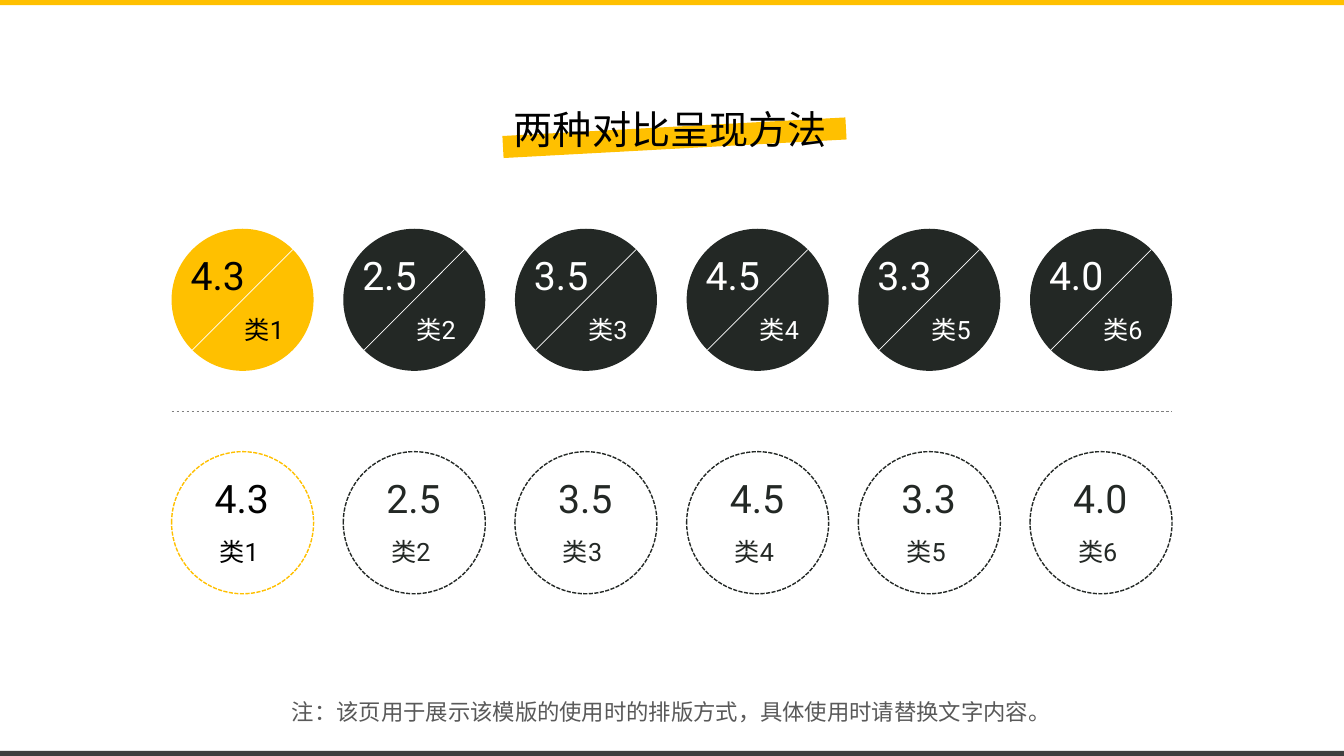
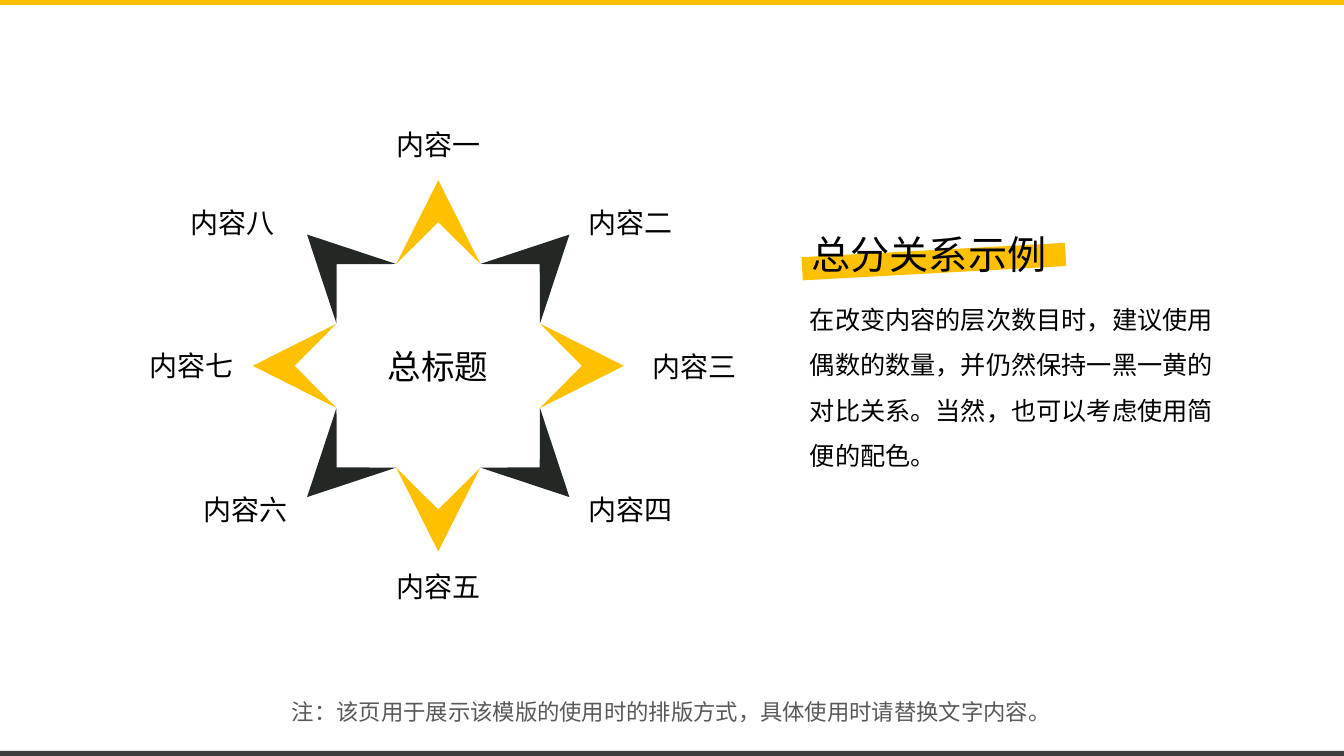
from math import cos, pi, sin

from lxml.etree import SubElement
from pptx import Presentation
from pptx.dml.color import RGBColor
from pptx.enum.dml import MSO_LINE
from pptx.enum.shapes import MSO_CONNECTOR, MSO_SHAPE
from pptx.enum.text import MSO_ANCHOR, MSO_AUTO_SIZE, PP_ALIGN
from pptx.oxml.ns import qn
from pptx.util import Pt

# Shared look
FONT = "Roboto"
YELLOW, DARK, BLACK, WHITE = "FFC000", "232825", "000000", "FFFFFF"
BAND_GREY, NOTE_GREY, RULE_GREY = "3F3F3F", "595959", "7F7F7F"
SLIDE_W, SLIDE_H = 960.48, 540
BAND_H = 3.6
NOTE = "注：该页用于展示该模版的使用时的排版方式，具体使用时请替换文字内容。"

# Comparison circles
VALUES = ["4.3", "2.5", "3.5", "4.5", "3.3", "4.0"]
ROW_LEFT, PITCH, DIAMETER = 122.6, 122.7, 101.5
FILLED_TOP, RULE_Y, OUTLINED_TOP = 163.4, 293.5, 322.6
VALUE_W, VALUE_H, VALUE_DROP = 54, 41, 12.6
LABEL_W, LABEL_H, LABEL_DROP = 47, 28.8, 57.3

# Eight-pointed star
STAR_X, STAR_Y = 313.2, 261.3
TIP_R, NOTCH_R, FOOT_R = 132.6, 102.6, 78.7
BRANCH_W, BRANCH_H = 76, 31.7
BRANCHES = [
    ("内容一", 276, 87.5), ("内容二", 413.3, 143.5),
    ("内容三", 459.4, 245.8), ("内容四", 413.3, 348),
    ("内容五", 276, 403.4), ("内容六", 138.2, 348),
    ("内容七", 99.7, 245.5), ("内容八", 128.9, 143.5),
]


def rgb(value):
    return RGBColor.from_string(value)


def points(*lengths):
    return [Pt(length) for length in lengths]


def write(shape, text, size, color, align=PP_ALIGN.LEFT, wrap=False, spacing=1.0):
    frame = shape.text_frame
    frame.word_wrap = wrap
    frame.auto_size = MSO_AUTO_SIZE.SHAPE_TO_FIT_TEXT
    frame.vertical_anchor = MSO_ANCHOR.TOP
    frame.margin_left = frame.margin_right = Pt(7.2)
    frame.margin_top = frame.margin_bottom = Pt(3.6)
    paragraph = frame.paragraphs[0]
    paragraph.alignment = align
    paragraph.line_spacing = spacing
    run = paragraph.add_run()
    run.text = text
    run.font.name = FONT
    run.font.size = Pt(size)
    run.font.color.rgb = rgb(color)
    # East Asian characters need their own font entry
    SubElement(run._r.get_or_add_rPr(), qn("a:ea"), typeface=FONT)


def add_text(slide, box, text, size, color=BLACK, **style):
    write(slide.shapes.add_textbox(*points(*box)), text, size, color, **style)


def paint(shape, fill):
    shape.shadow.inherit = False
    shape.fill.solid()
    shape.fill.fore_color.rgb = rgb(fill)
    shape.line.fill.background()


def add_bar(slide, box, fill):
    bar = slide.shapes.add_shape(MSO_SHAPE.RECTANGLE, *points(*box))
    paint(bar, fill)
    return bar


def add_line(slide, start, end, color, dash=None):
    line = slide.shapes.add_connector(MSO_CONNECTOR.STRAIGHT, *points(*start, *end))
    line.line.color.rgb = rgb(color)
    line.line.width = Pt(0.5)
    if dash:
        line.line.dash_style = dash
    SubElement(line.element.spPr, qn("a:effectLst"))


def start_slide(deck, title_text, title_box, highlight_box):
    """Add a slide with its bands, note and highlighted title."""
    slide = deck.slides.add_slide(deck.slide_layouts[5])
    add_bar(slide, (0, 0, SLIDE_W, BAND_H), YELLOW)
    add_bar(slide, (0, SLIDE_H - BAND_H, SLIDE_W, BAND_H), BAND_GREY)
    add_text(slide, (201.6, 494.9, 560, 26.6), NOTE, 16, NOTE_GREY)

    title = slide.shapes.title
    title.left, title.top, title.width, title.height = points(*title_box)
    write(title, title_text, 28, BLACK)
    highlight = add_bar(slide, highlight_box, YELLOW)
    highlight.rotation = 356.9
    title.element.addprevious(highlight.element)
    return slide


def add_circle(slide, left, top):
    return slide.shapes.add_shape(
        MSO_SHAPE.OVAL, *points(left, top, DIAMETER, DIAMETER))


def add_figures(slide, top, value, value_left, label, label_left, color):
    add_text(slide, (value_left, top + VALUE_DROP, VALUE_W, VALUE_H),
             value, 28, color)
    add_text(slide, (label_left, top + LABEL_DROP, LABEL_W, LABEL_H),
             label, 18, color)


def add_filled_circle(slide, left, value, label, first):
    paint(add_circle(slide, left, FILLED_TOP), YELLOW if first else DARK)
    # The 45-degree divider ends on the rim
    near = DIAMETER * (1 - cos(pi / 4)) / 2
    far = DIAMETER - near
    add_line(slide, (left + near, FILLED_TOP + far),
             (left + far, FILLED_TOP + near), WHITE)
    add_figures(slide, FILLED_TOP, value, left + 6.5, label, left + 45.2,
                BLACK if first else WHITE)


def add_outlined_circle(slide, left, value, label, first):
    circle = add_circle(slide, left, OUTLINED_TOP)
    circle.shadow.inherit = False
    circle.fill.background()
    circle.line.color.rgb = rgb(YELLOW if first else DARK)
    circle.line.width = Pt(1)
    circle.line.dash_style = MSO_LINE.SQUARE_DOT
    center = left + DIAMETER / 2
    add_figures(slide, OUTLINED_TOP, value, center - VALUE_W / 2,
                label, center - LABEL_W / 2, BLACK if first else DARK)


def add_star_point(slide, index):
    """Draw one chevron, turned clockwise from the top by eighths."""
    def corner(radius, eighths):
        angle = eighths * pi / 4
        return points(STAR_X + radius * sin(angle), STAR_Y - radius * cos(angle))

    outline = slide.shapes.build_freeform(*corner(FOOT_R, index - 0.5))
    outline.add_line_segments(
        [corner(TIP_R, index), corner(FOOT_R, index + 0.5), corner(NOTCH_R, index)])
    paint(outline.convert_to_shape(), DARK if index % 2 else YELLOW)


def build_comparison(deck):
    slide = start_slide(deck, "两种对比呈现方法",
                        (360, 71.3, 240, 41), (359.3, 90.5, 245.5, 15.8))
    for index, value in enumerate(VALUES):
        left = ROW_LEFT + index * PITCH
        for add_entry in (add_filled_circle, add_outlined_circle):
            add_entry(slide, left, value, f"类{index + 1}", index == 0)
    row_right = ROW_LEFT + (len(VALUES) - 1) * PITCH + DIAMETER
    add_line(slide, (ROW_LEFT, RULE_Y), (row_right, RULE_Y),
             RULE_GREY, MSO_LINE.DASH)


def build_whole_and_parts(deck):
    slide = start_slide(deck, "总分关系示例",
                        (572.8, 160.6, 184, 41), (573.1, 178.6, 188.6, 16.6))
    for index, (label, left, top) in enumerate(BRANCHES):
        add_star_point(slide, index)
        add_text(slide, (left, top, BRANCH_W, BRANCH_H), label, 20)
    add_text(slide, (STAR_X - 44, STAR_Y - 18, 88, 36), "总标题", 24,
             align=PP_ALIGN.CENTER)
    add_text(slide, (571.7, 203, 303.8, 136.8),
             "在改变内容的层次数目时，建议使用偶数的数量，并仍然保持一黑一黄的"
             "对比关系。当然，也可以考虑使用简便的配色。",
             18, wrap=True, spacing=1.5)


def main():
    deck = Presentation()
    deck.slide_width, deck.slide_height = points(SLIDE_W, SLIDE_H)
    build_comparison(deck)
    build_whole_and_parts(deck)
    deck.save("out.pptx")


if __name__ == "__main__":
    main()
